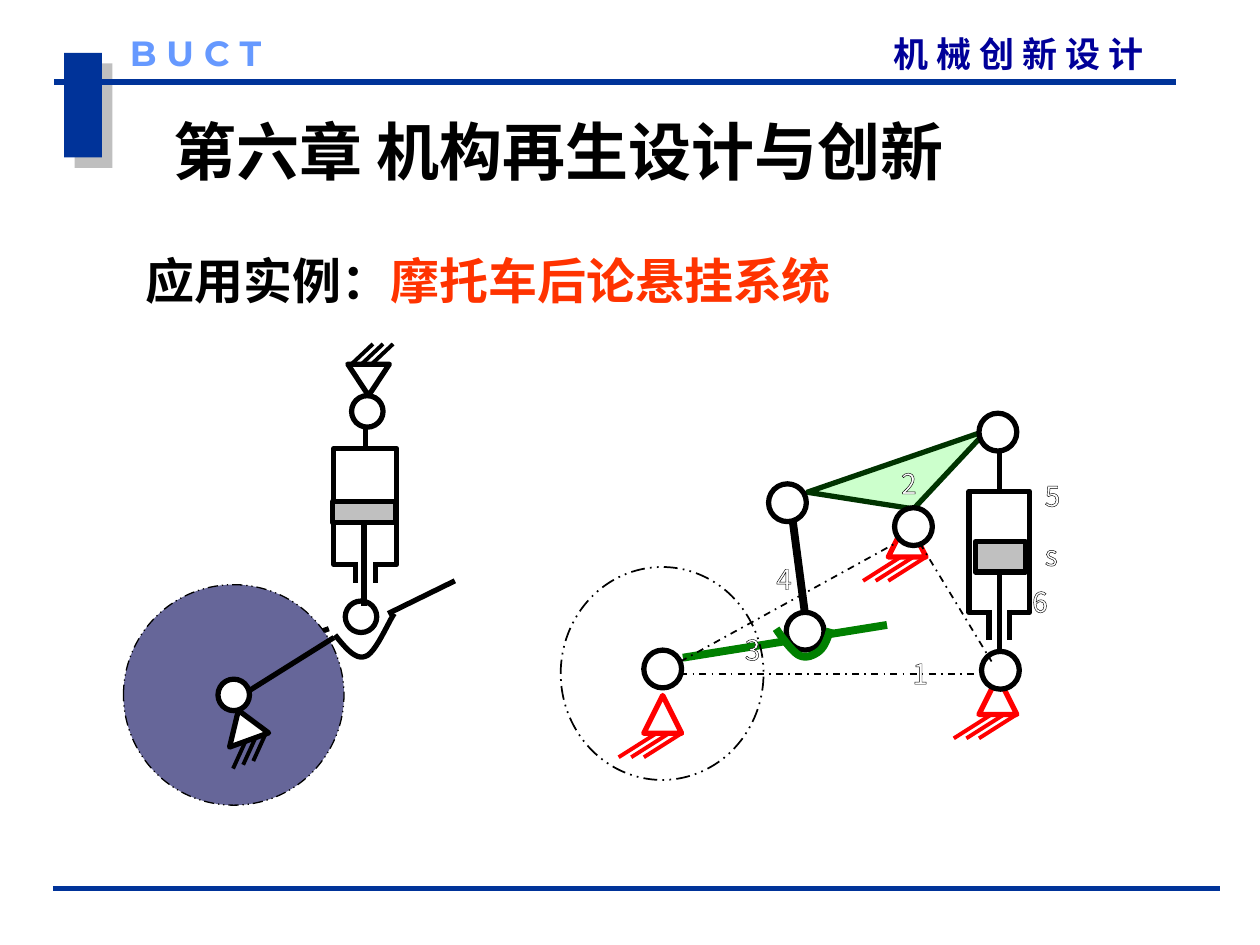
from pptx import Presentation
from pptx.dml.color import RGBColor
from pptx.enum.dml import MSO_LINE
from pptx.enum.shapes import MSO_CONNECTOR, MSO_SHAPE
from pptx.oxml import parse_xml
from pptx.oxml.ns import nsdecls, qn
from pptx.util import Inches, Pt
from lxml import etree

COLORS = {
    "navy": "003399", "header": "000099", "sky": "6699FF", "orange": "FF3300",
    "black": "000000", "white": "FFFFFF", "gray": "C0C0C0", "wheel": "666699",
    "mint": "CCFFCC", "forest": "003300", "green": "008000", "red": "FF0000",
    "shadow": "808080",
}
CJK = "Noto Sans CJK SC"


def rgb(name):
    return RGBColor.from_string(COLORS[name])


class SlideBuilder:
    def __init__(self, slide):
        self.slide = slide

    def style_line(self, line, color, width, dash=None):
        line.color.rgb = rgb(color)
        line.width = Pt(width)
        if dash:
            line.dash_style = dash

    def shape(self, kind, left, top, width, height, fill="white",
              line="black", weight=3, dash=None, rotation=0):
        shape = self.slide.shapes.add_shape(
            kind, Inches(left), Inches(top), Inches(width), Inches(height))
        shape.shadow.inherit = False
        shape.rotation = rotation
        if fill:
            shape.fill.solid()
            shape.fill.fore_color.rgb = rgb(fill)
        else:
            shape.fill.background()
        if line:
            self.style_line(shape.line, line, weight, dash)
        else:
            shape.line.fill.background()
        return shape

    def rectangle(self, *box, **style):
        return self.shape(MSO_SHAPE.RECTANGLE, *box, **style)

    def triangle(self, *box, **style):
        return self.shape(MSO_SHAPE.ISOSCELES_TRIANGLE, *box, **style)

    def circle(self, left, top, size, height=None, **style):
        return self.shape(MSO_SHAPE.OVAL, left, top, size, height or size, **style)

    def line(self, x1, y1, x2, y2, color="black", weight=3, dash=None):
        connector = self.slide.shapes.add_connector(
            MSO_CONNECTOR.STRAIGHT, Inches(x1), Inches(y1), Inches(x2), Inches(y2))
        self.style_line(connector.line, color, weight, dash)
        etree.SubElement(connector._element.spPr, qn("a:effectLst"))

    def hatch(self, x, y, step, stroke, color="black"):
        for index in range(3):
            x1, y1 = x + index * step[0], y + index * step[1]
            self.line(x1, y1, x1 + stroke[0], y1 + stroke[1], color, 2.25)

    def support(self, left, top):
        self.triangle(left, top, 0.3, 0.3, line="red")
        self.hatch(left + 0.1, top + 0.3, (0.1, 0), (-0.3, 0.19), "red")

    def curve(self, start, segments, color, weight):
        """Draw joined cubic curves as one open outline."""
        points, origin = [], start
        for segment in segments:
            controls = (origin, *segment)
            for step in range(1, 13):
                t = step / 12
                weights = ((1 - t) ** 3, 3 * t * (1 - t) ** 2,
                           3 * t ** 2 * (1 - t), t ** 3)
                points.append(tuple(
                    Inches(sum(w * point[axis] for w, point in zip(weights, controls)))
                    for axis in (0, 1)))
            origin = segment[-1]
        builder = self.slide.shapes.build_freeform(Inches(start[0]), Inches(start[1]))
        builder.add_line_segments(points, close=False)
        shape = builder.convert_to_shape()
        shape.shadow.inherit = False
        shape.fill.background()
        self.style_line(shape.line, color, weight)

    def text(self, left, top, width, height, runs, size, font=CJK,
             bold=True, inset=True, wrap=True, outline=False):
        box = self.slide.shapes.add_textbox(
            Inches(left), Inches(top), Inches(width), Inches(height))
        frame = box.text_frame
        frame.word_wrap = wrap
        if not inset:
            frame.margin_left = frame.margin_right = 0
            frame.margin_top = frame.margin_bottom = 0
        for content, color in runs:
            run = frame.paragraphs[0].add_run()
            run.text = content
            run.font.size = Pt(size)
            run.font.bold = bold
            run.font.name = font
            run.font.color.rgb = rgb(color)
            properties = run.font._element
            properties.find(qn("a:latin")).addnext(
                parse_xml(f'<a:ea {nsdecls("a")} typeface="{CJK}"/>'))
            if outline:
                properties.insert(0, parse_xml(
                    f'<a:ln {nsdecls("a")} w="9525"><a:solidFill>'
                    f'<a:srgbClr val="{COLORS["black"]}"/></a:solidFill></a:ln>'))

    def label(self, content, left, top):
        self.text(left, top, 0.14, 0.27, [(content, "white")], 16,
                  bold=False, wrap=False, outline=True)


def draw_frame(builder):
    block = builder.rectangle(0.51, 0.42, 0.3, 0.83, fill="navy", line=None)
    effects = block._element.spPr.find(qn("a:effectLst"))
    effects.append(parse_xml(
        f'<a:outerShdw {nsdecls("a")} dist="107950" dir="2700000" algn="ctr" '
        f'rotWithShape="0"><a:srgbClr val="{COLORS["shadow"]}">'
        '<a:alpha val="50000"/></a:srgbClr></a:outerShdw>'))
    builder.line(0.43, 0.65, 9.33, 0.65, "navy")
    builder.line(0.42, 7.05, 9.68, 7.05, "navy")
    builder.text(7.09, 0.26, 2.45, 0.33, [("机 械 创 新 设 计", "header")], 20, inset=False)
    builder.text(1.03, 0.25, 1.42, 0.33, [("B U C T", "sky")], 20, "Montserrat", inset=False)


def draw_left_mechanism(builder):
    # Upper ground joint
    builder.line(3.08, 4.87, 3.61, 4.61)
    builder.circle(2.79, 3.14, 0.25)
    builder.triangle(2.76, 2.89, 0.33, 0.25, rotation=180)
    builder.hatch(2.79, 2.89, (0.08, 0), (0.17, -0.16))
    # Lower joint and its cradle
    builder.circle(2.74, 4.77, 0.25)
    builder.curve((2.66, 5.04), [((2.74, 5.14), (2.82, 5.24), (2.9, 5.21)),
                                 ((2.98, 5.19), (3.09, 4.92), (3.13, 4.87))], "black", 3)
    # Shock absorber
    builder.rectangle(2.65, 3.56, 0.5, 0.92)
    builder.rectangle(2.82, 4.23, 0.17, 0.42, line="white", weight=0.75)
    builder.line(2.9, 3.39, 2.9, 3.56)
    for x in (2.82, 2.98):
        builder.line(x, 4.46, x, 4.63)
    builder.rectangle(2.64, 3.98, 0.5, 0.17, fill="gray")
    builder.line(2.89, 4.14, 2.89, 4.81)
    # Wheel, hub and swing arm
    builder.line(2.22, 5.13, 2.61, 4.99)
    builder.circle(0.98, 4.64, 1.75, fill="wheel", weight=0.75,
                   dash=MSO_LINE.DASH_DOT_DOT)
    builder.circle(1.73, 5.39, 0.25)
    builder.triangle(1.77, 5.63, 0.33, 0.25, rotation=340)
    builder.hatch(1.95, 5.88, (0.08, -0.03), (-0.1, 0.22))
    builder.line(1.98, 5.48, 2.65, 5.06)


def draw_right_mechanism(builder):
    # Rocker, connecting rod and swing arm
    builder.triangle(6.43, 3.65, 1.51, 0.4, fill="mint", line="forest", rotation=161)
    builder.circle(6.1, 3.84, 0.3)
    builder.line(6.29, 4.12, 6.39, 4.88, weight=4.5)
    builder.line(5.42, 5.22, 7.04, 4.96, "green", 4.5)
    builder.circle(6.24, 4.86, 0.3)
    builder.curve((6.16, 4.99), [((6.22, 5.08), (6.29, 5.17), (6.34, 5.2)),
                                 ((6.4, 5.23), (6.46, 5.2), (6.5, 5.17)),
                                 ((6.54, 5.14), (6.57, 5.07), (6.59, 4.99))], "green", 4.5)
    builder.support(7.05, 4.12)
    builder.circle(7.1, 4.03, 0.3)
    # Shock absorber
    builder.rectangle(7.69, 3.9, 0.48, 0.96)
    builder.rectangle(7.85, 4.62, 0.16, 0.4, line="white", weight=0.75)
    for x in (7.85, 8.01):
        builder.line(x, 4.84, x, 5.08)
    builder.rectangle(7.74, 4.3, 0.4, 0.24, fill="gray")
    builder.line(7.93, 4.54, 7.93, 5.34)
    builder.line(7.93, 3.58, 7.93, 3.9)
    builder.circle(7.77, 3.28, 0.3)
    builder.support(7.77, 5.37)
    builder.circle(7.79, 5.17, 0.3)
    # Wheel and hub
    builder.circle(5.11, 5.16, 0.3)
    builder.support(5.11, 5.52)
    builder.circle(4.45, 4.5, 1.61, 1.69, fill=None, weight=1,
                   dash=MSO_LINE.DASH_DOT_DOT)
    # Frame link and link numbers
    for ends in ((5.4, 5.25, 7.11, 4.31), (5.4, 5.35, 7.77, 5.35), (7.3, 4.31, 7.87, 5.25)):
        builder.line(*ends, weight=1, dash=MSO_LINE.DASH_DOT)
    for content, left, top in (("s", 8.25, 4.22), ("1", 7.2, 5.16), ("6", 8.15, 4.59),
                               ("5", 8.25, 3.75), ("4", 6.12, 4.41), ("3", 5.87, 4.97),
                               ("2", 7.11, 3.65)):
        builder.label(content, left, top)


def main():
    presentation = Presentation()
    presentation.slide_width, presentation.slide_height = Inches(10), Inches(7.5)
    builder = SlideBuilder(presentation.slides.add_slide(presentation.slide_layouts[6]))
    draw_frame(builder)
    draw_left_mechanism(builder)
    builder.text(1.06, 1.94, 6.14, 0.57,
                 [("应用实例：", "black"), ("摩托车后论悬挂系统", "orange")], 28, "Arial")
    builder.text(1.28, 0.84, 7.87, 0.7, [("第六章 机构再生设计与创新", "black")], 36, "Arial")
    draw_right_mechanism(builder)
    presentation.save("out.pptx")


if __name__ == "__main__":
    main()
